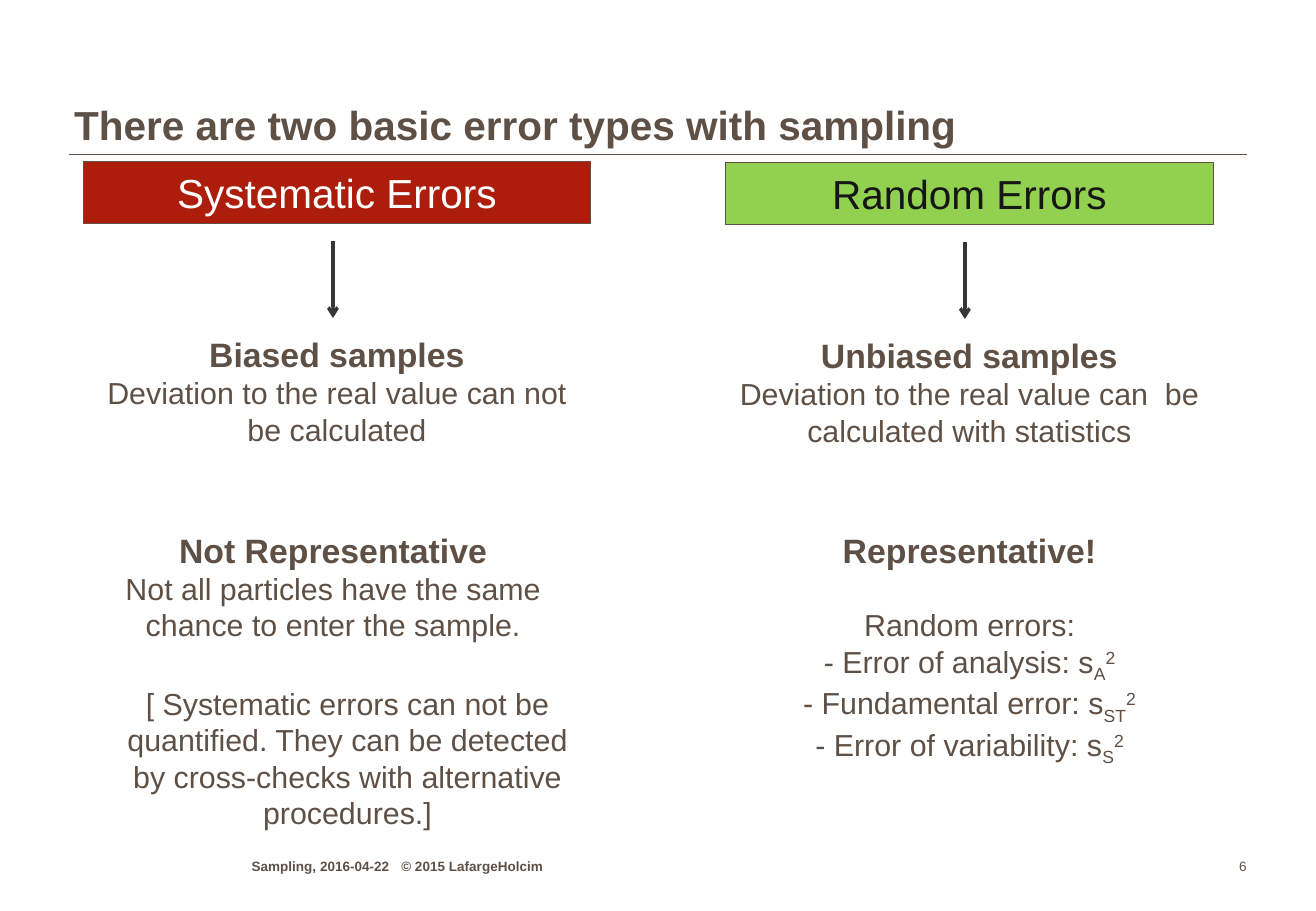
import pptx
import pptx.util
import pptx.dml.color
import pptx.enum.shapes
import pptx.enum.text
import pptx.oxml
import pptx.oxml.ns
import lxml.etree

Cm = pptx.util.Cm
Pt = pptx.util.Pt
ALIGN = pptx.enum.text.PP_ALIGN
ANCHOR = pptx.enum.text.MSO_ANCHOR

BROWN, WHITE, BLACK, DARK = "5F5046", "FFFFFF", "161616", "363636"
RED, GREEN = "AC1E0B", "92D050"
SUBSCRIPT, SUPERSCRIPT = -25000, 30000


def color(value):
    return pptx.dml.color.RGBColor.from_string(value)


def add_element(parent, tag, **attributes):
    return lxml.etree.SubElement(parent, pptx.oxml.ns.qn(tag), attributes)


def style(para, size, bold=False, hue=BROWN, align=ALIGN.CENTER):
    para.alignment = align
    para.font.name = "Arial"
    para.font.size = Pt(size)
    para.font.bold = bold
    para.font.color.rgb = color(hue)


def add_text_box(page, left, top, width, height):
    box = page.shapes.add_textbox(Cm(left), Cm(top), Cm(width), Cm(height))
    box.text_frame.word_wrap = True
    return box.text_frame


def add_edge_text(page, place, text, size, bold=False, align=ALIGN.LEFT, tab=None):
    """Title and footer text: no margins, standing on the bottom of the box."""
    frame = add_text_box(page, *place)
    frame.margin_left = frame.margin_right = frame.margin_top = frame.margin_bottom = 0
    frame.vertical_anchor = ANCHOR.BOTTOM
    para = frame.paragraphs[0]
    para.text = text
    if tab:
        tabs = add_element(para._p.get_or_add_pPr(), "a:tabLst")
        add_element(tabs, "a:tab", pos=str(Cm(tab)), algn="l")
    style(para, size, bold, align=align)


def add_header(page, place, text, fill, hue):
    box = page.shapes.add_shape(
        pptx.enum.shapes.MSO_SHAPE.RECTANGLE, *[Cm(length) for length in place])
    box.shadow.inherit = False
    box.fill.solid()
    box.fill.fore_color.rgb = color(fill)
    box.line.color.rgb = color(BROWN)
    box.line.width = Pt(0.75)
    box.text_frame.vertical_anchor = ANCHOR.TOP
    para = box.text_frame.paragraphs[0]
    para.text = text
    style(para, 24, hue=hue)


def add_line(page, start, end, hue, width, arrow=False):
    line = page.shapes.add_connector(
        pptx.enum.shapes.MSO_CONNECTOR.STRAIGHT,
        *[Cm(length) for length in start + end])
    line.line.color.rgb = color(hue)
    line.line.width = Pt(width)
    if arrow:
        add_element(line.line._get_or_add_ln(), "a:tailEnd", type="arrow")
    add_element(line._element.spPr, "a:effectLst")


def add_statement(page, place, heading, body):
    """A bold heading with one paragraph below it."""
    frame = add_text_box(page, *place)
    frame.text = heading
    style(frame.paragraphs[0], 20, bold=True)
    para = frame.add_paragraph()
    para.text = body
    style(para, 18)
    return frame


def add_variance(frame, label, index):
    """A line that ends in s with a subscript index and a squared sign."""
    para = frame.add_paragraph()
    style(para, 18)
    for text, baseline in ((label, 0), (index, SUBSCRIPT), ("2", SUPERSCRIPT)):
        span = para.add_run()
        span.text = text
        if baseline:
            span._r.get_or_add_rPr().set("baseline", str(baseline))


def main():
    deck = pptx.Presentation()
    deck.slide_width, deck.slide_height = Cm(27.51), Cm(19.05)
    page = deck.slides.add_slide(deck.slide_layouts[6])

    # Title and rule
    add_line(page, (1.45, 3.23), (26.06, 3.23), BROWN, 1)
    add_edge_text(page, (1.55, 0.91, 24.38, 2.2),
                  "There are two basic error types with sampling", 24, bold=True)

    # Two columns: header, arrow and first statement
    columns = (
        (1.75, 3.38, 10.59, 6.96, "Systematic Errors", RED, WHITE, "Biased samples",
         "Deviation to the real value can not be calculated"),
        (15.16, 3.4, 10.21, 20.17, "Random Errors", GREEN, BLACK, "Unbiased samples",
         "Deviation to the real value can  be calculated with statistics"),
    )
    for left, top, width, arrow_x, header, fill, hue, heading, body in columns:
        add_header(page, (left, top, width, 1.3), header, fill, hue)
        add_line(page, (arrow_x, top + 1.67), (arrow_x, top + 3.27), DARK, 2, arrow=True)
        add_statement(page, (left, top + 3.48, width, 2.62), heading, body)

    # Consequence of systematic errors
    add_statement(page, (1.96, 10.95, 10.01, 2.62), "Not Representative",
                  "Not all particles have the same chance to enter the sample.")
    note = add_text_box(page, 2.16, 14.2, 10.21, 3.3)
    note.text = ("[ Systematic errors can not be quantified. They can be detected "
                 "by cross-checks with alternative procedures.]")
    style(note.paragraphs[0], 18)

    # Consequence of random errors
    frame = add_statement(page, (15.47, 10.95, 9.6, 4.93),
                          "Representative!", "Random errors:")
    frame.paragraphs[1].space_before = Pt(21.6)
    for label, index in (("- Error of analysis: s", "A"),
                         ("- Fundamental error: s", "ST"),
                         ("- Error of variability: s", "S")):
        add_variance(frame, label, index)

    # Footer
    add_edge_text(page, (5.26, 17.83, 8.81, 0.46),
                  "Sampling, 2016-04-22\t© 2015 LafargeHolcim", 8, bold=True, tab=3.13)
    add_edge_text(page, (24.87, 17.83, 1.19, 0.46), "6", 8, align=ALIGN.RIGHT)

    deck.save("out.pptx")


if __name__ == "__main__":
    main()
